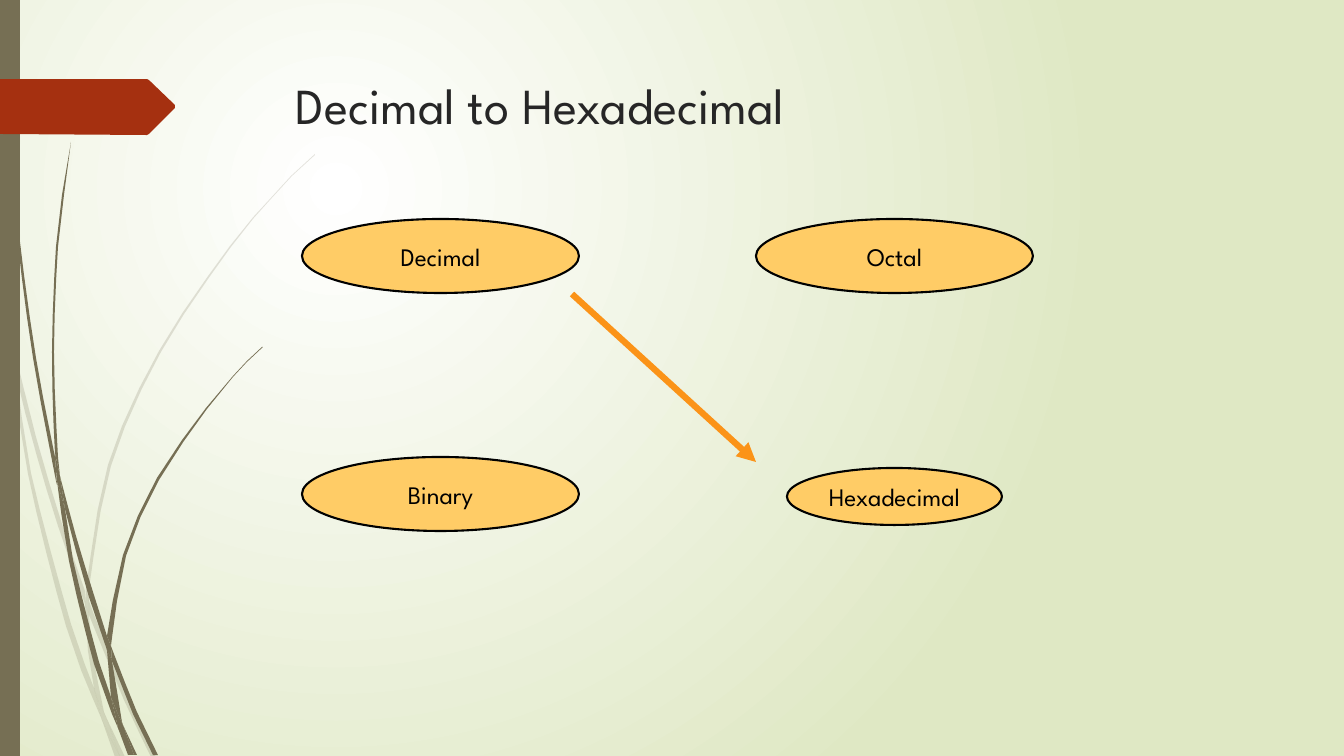
from dataclasses import dataclass
from math import dist

from lxml.etree import SubElement
from pptx import Presentation
from pptx.dml.color import RGBColor
from pptx.enum.shapes import MSO_CONNECTOR, MSO_SHAPE
from pptx.enum.text import MSO_ANCHOR, MSO_AUTO_SIZE, PP_ALIGN
from pptx.oxml.ns import qn
from pptx.util import Pt

PIXEL = 12192000 / 1344
CURVE_STEP = 40
FONT = "League Spartan"

WHITE = RGBColor(0xFF, 0xFF, 0xFF)
BLACK = RGBColor(0x00, 0x00, 0x00)
CHARCOAL = RGBColor(0x26, 0x26, 0x26)
PALE_GREEN = RGBColor(0xDF, 0xE8, 0xC4)
OLIVE = RGBColor(0x76, 0x6F, 0x54)
RUST = RGBColor(0xA5, 0x30, 0x10)
AMBER = RGBColor(0xFF, 0xCC, 0x66)
ORANGE = RGBColor(0xFB, 0x93, 0x18)

Point = tuple[float, float]


@dataclass(frozen=True)
class Blade:
    """A piece of a grass blade, bounded by two smooth edges."""
    outward: list[Point]
    back: list[Point]


@dataclass(frozen=True)
class NumberSystem:
    """An oval that names a number system."""
    name: str
    left: int
    top: int
    width: int = 277
    height: int = 74
    auto_size: MSO_AUTO_SIZE = MSO_AUTO_SIZE.NONE


FAINT_BLADES = [
    Blade([(11, 353), (9, 325), (0, 284)], [(0, 301), (10, 347), (11, 353)]),
    Blade([(14, 348), (17, 379), (36, 453), (58, 526), (85, 604)],
          [(85, 591), (62, 524), (36, 437), (14, 348)]),
    Blade([(89, 601), (93, 612), (128, 698), (156, 757)],
          [(151, 757), (124, 700), (89, 615)]),
    Blade([(106, 717), (125, 757)], [(120, 757), (106, 717)]),
    Blade([(11, 353), (17, 379), (31, 473), (71, 624), (94, 688), (100, 713), (102, 720)],
          [(102, 720), (93, 699), (66, 626), (28, 474), (11, 353)]),
    Blade([(85, 604), (88, 651), (94, 688), (97, 698), (106, 717)],
          [(104, 712), (92, 651), (89, 615), (89, 613), (85, 604)]),
    Blade([(86, 591), (86, 589), (108, 465), (159, 351), (230, 246), (270, 199),
           (291, 176), (315, 154)],
          [(315, 155), (292, 176), (270, 200), (231, 247), (161, 352), (111, 466),
           (89, 589), (89, 601), (86, 591)]),
    Blade([(102, 720), (115, 757)], [(120, 757), (102, 720)]),
    Blade([(85, 604), (86, 591), (89, 601)], [(89, 615), (89, 613), (85, 604)]),
    Blade([(94, 688), (100, 713), (102, 720), (120, 757)],
          [(120, 757), (106, 717), (97, 698), (94, 688)]),
]
DARK_BLADES = [
    Blade([(3, 0), (4, 48), (7, 111), (17, 235), (33, 358), (56, 481), (57, 485)],
          [(55, 457), (36, 358), (19, 234), (8, 110), (5, 48), (4, 0)]),
    Blade([(60, 476), (65, 509), (89, 597), (107, 650)],
          [(107, 638), (107, 636), (94, 595), (76, 536), (60, 476)]),
    Blade([(111, 646), (114, 654), (137, 712), (158, 755)],
          [(153, 755), (133, 714), (112, 661)]),
    Blade([(57, 481), (65, 509), (73, 560), (99, 662), (111, 697), (117, 723), (118, 728)],
          [(118, 728), (112, 714), (94, 664), (69, 561), (57, 481)]),
    Blade([(60, 476), (58, 457), (54, 352), (58, 247), (64, 195), (71, 142)],
          [(71, 142), (62, 195), (56, 247), (52, 352), (55, 453), (60, 476)]),
    Blade([(123, 725), (137, 755)], [(134, 755), (123, 725)]),
    Blade([(55, 453), (60, 476), (65, 509)], [(57, 481), (55, 457), (55, 453)]),
    Blade([(107, 636), (123, 555), (157, 478), (206, 408), (233, 376), (247, 361), (262, 347)],
          [(263, 347), (247, 362), (233, 377), (207, 409), (159, 480), (126, 556),
           (112, 638), (111, 646), (107, 636)]),
    Blade([(118, 728), (128, 755)], [(132, 755), (118, 728)]),
    Blade([(107, 650), (111, 697), (117, 712), (123, 725)],
          [(122, 722), (112, 661), (110, 656), (107, 650)]),
    Blade([(107, 650), (107, 636), (111, 646)], [(112, 661), (110, 656), (107, 650)]),
    Blade([(111, 697), (117, 723), (118, 728), (131, 755)],
          [(134, 755), (123, 725), (117, 712), (111, 697)]),
]
TAG_OUTLINE = [(0, 79), (147, 79), (149, 80), (175, 105), (175, 108), (149, 134),
               (147, 135), (0, 134)]
NUMBER_SYSTEMS = [
    NumberSystem("Hexadecimal", 787, 468, 215, 57, MSO_AUTO_SIZE.SHAPE_TO_FIT_TEXT),
    NumberSystem("Decimal", 302, 219),
    NumberSystem("Octal", 756, 219),
    NumberSystem("Binary", 302, 457),
]


def emu(*pixels: float) -> list[int]:
    """Turn pixels into EMU."""
    return [round(pixel * PIXEL) for pixel in pixels]


def smooth(anchors: list[Point]) -> list[Point]:
    """Sample a Catmull-Rom curve through the anchors, more finely on long stretches."""
    ends = [anchors[0], *anchors, anchors[-1]]
    points = [anchors[0]]
    for before, start, end, after in zip(ends, ends[1:], ends[2:], ends[3:]):
        steps = max(1, round(dist(start, end) / CURVE_STEP))
        for step in range(1, steps + 1):
            t = step / steps
            points.append(tuple(
                b + (t * (c - a) + t**2 * (2 * a - 5 * b + 4 * c - d)
                     + t**3 * (3 * (b - c) + d - a)) / 2
                for a, b, c, d in zip(before, start, end, after)))
    return points


def paint(shape, color: RGBColor) -> None:
    """Give a shape a plain fill without line or shadow."""
    shape.shadow.inherit = False
    shape.fill.solid()
    shape.fill.fore_color.rgb = color
    shape.line.fill.background()


def add_outline(shapes, outline: list[Point], color: RGBColor):
    """Draw a closed freeform."""
    first, *others = [emu(*point) for point in outline]
    builder = shapes.build_freeform(*first, scale=1.0)
    builder.add_line_segments(others, close=True)
    shape = builder.convert_to_shape()
    paint(shape, color)
    return shape


def add_grass(page, blades: list[Blade], opacity: int) -> None:
    """Draw a group of blades at an opacity in percent."""
    group = page.shapes.add_group_shape()
    for blade in blades:
        shape = add_outline(group.shapes, smooth(blade.outward) + smooth(blade.back), OLIVE)
        if opacity < 100:
            color = shape._element.spPr.find(qn("a:solidFill"))[0]
            SubElement(color, qn("a:alpha"), val=str(opacity * 1000))


def write(box, text: str, size: int, color: RGBColor, frame_format: dict) -> None:
    """Write one paragraph into a box."""
    frame = box.text_frame
    for name, value in frame_format.items():
        setattr(frame, name, value)
    span = frame.paragraphs[0].add_run()
    span.text = text
    for name, value in {"name": FONT, "size": Pt(size)}.items():
        setattr(span.font, name, value)
    span.font.color.rgb = color


def add_number_system(page, system: NumberSystem) -> None:
    """Draw a labelled oval."""
    oval = page.shapes.add_shape(
        MSO_SHAPE.OVAL, *emu(system.left, system.top, system.width, system.height))
    paint(oval, AMBER)
    oval.line.color.rgb = BLACK
    oval.line.width = Pt(1.5)
    write(oval, system.name, 18, BLACK, {
        "word_wrap": False, "vertical_anchor": MSO_ANCHOR.MIDDLE, "auto_size": system.auto_size})
    oval.text_frame.paragraphs[0].alignment = PP_ALIGN.CENTER


def add_arrow(page, start: Point, end: Point) -> None:
    """Draw the conversion arrow."""
    arrow = page.shapes.add_connector(MSO_CONNECTOR.STRAIGHT, *emu(*start, *end))
    arrow.line.color.rgb = ORANGE
    arrow.line.width = Pt(4.5)
    properties = arrow._element.spPr
    SubElement(properties.find(qn("a:ln")), qn("a:tailEnd"), type="triangle")
    SubElement(properties, qn("a:effectLst"))


def set_background(page) -> None:
    """Fill the page with a round gradient from white to pale green."""
    fill = page.background.fill
    fill.gradient()
    for stop, color, position in zip(fill.gradient_stops, (WHITE, PALE_GREEN), (0, 1)):
        stop.color.rgb = color
        stop.position = position
    gradient = next(page._element.iter(qn("a:gradFill")))
    gradient.remove(gradient.find(qn("a:lin")))
    circle = SubElement(gradient, qn("a:path"), path="circle")
    SubElement(circle, qn("a:fillToRect"), l="50000", t="50000", r="100000", b="100000")


deck = Presentation()
deck.slide_width, deck.slide_height = emu(1344, 756)
page = deck.slides.add_slide(deck.slide_layouts[6])
set_background(page)
add_grass(page, FAINT_BLADES, 20)
add_grass(page, DARK_BLADES, 100)
paint(page.shapes.add_shape(MSO_SHAPE.RECTANGLE, *emu(0, 0, 20, 756)), OLIVE)
add_outline(page.shapes, TAG_OUTLINE, RUST)
title = page.shapes.add_textbox(*emu(286, 69, 983, 141))
write(title, "Decimal to Hexadecimal", 36, CHARCOAL, {"word_wrap": True})
for system in NUMBER_SYSTEMS:
    add_number_system(page, system)
add_arrow(page, (572, 294), (756, 462))
deck.save("out.pptx")
